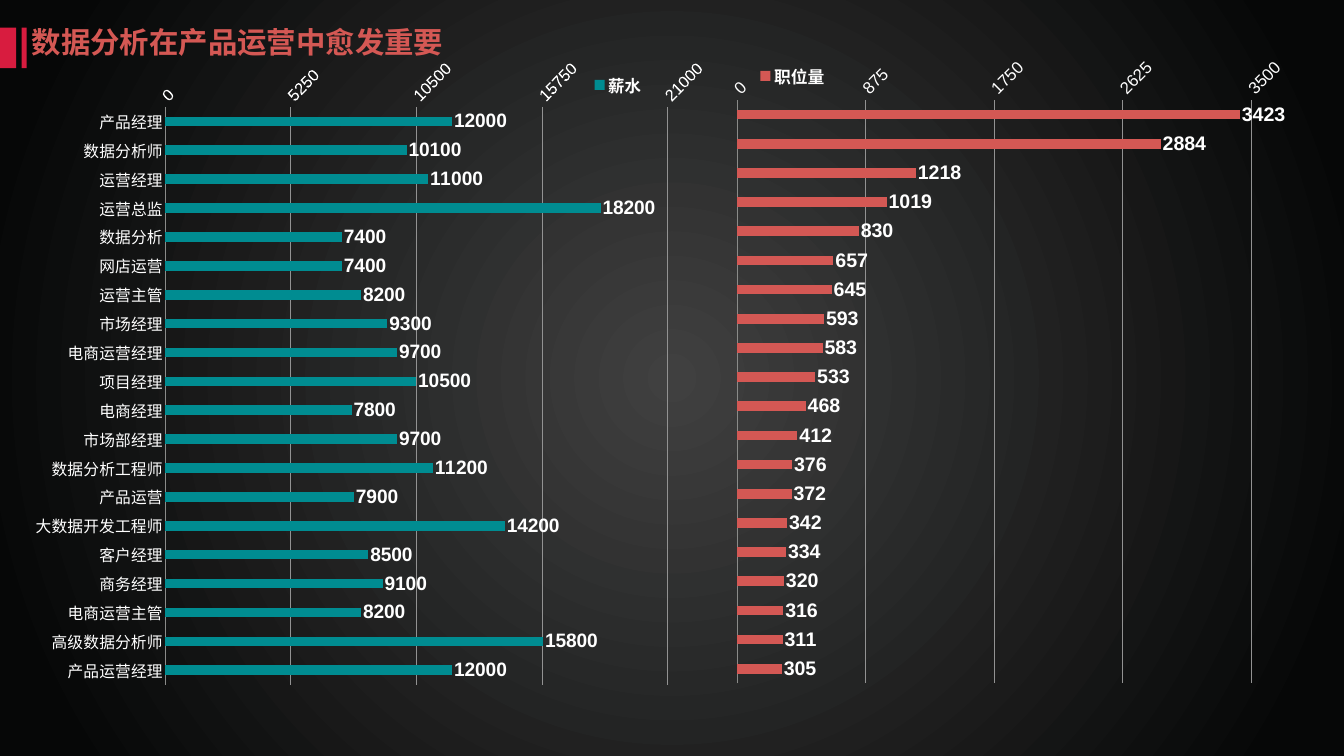
"""Build a dark slide comparing salary and number of openings by job title."""
from lxml import etree
from pptx import Presentation
from pptx.chart.data import CategoryChartData
from pptx.dml.color import RGBColor
from pptx.enum.chart import (XL_AXIS_CROSSES, XL_CHART_TYPE, XL_LABEL_POSITION,
                             XL_LEGEND_POSITION, XL_TICK_LABEL_POSITION, XL_TICK_MARK)
from pptx.enum.shapes import MSO_SHAPE
from pptx.oxml import parse_xml
from pptx.oxml.ns import nsdecls, qn
from pptx.util import Inches, Pt

BAR = XL_CHART_TYPE.BAR_CLUSTERED
CROSS_AT_MAXIMUM = XL_AXIS_CROSSES.MAXIMUM
LABEL_OUTSIDE = XL_LABEL_POSITION.OUTSIDE_END
LEGEND_TOP = XL_LEGEND_POSITION.TOP
NO_LABELS = XL_TICK_LABEL_POSITION.NONE
NO_TICKS = XL_TICK_MARK.NONE
RECTANGLE = MSO_SHAPE.RECTANGLE

CHART_FONT, TITLE_FONT = "Arial", "Noto Sans CJK SC"
WHITE, CRIMSON, CORAL, TEAL = "FFFFFF", "D81C3F", "D45854", "008C91"
AXIS_GREY, GRID_GREY = "8A8B89", "929292"
BACKGROUND_STOPS = [("404040", 0), ("060707", 0.92)]
TITLE = "数据分析在产品运营中愈发重要"
MARKERS = [(0, 0.32), (0.43, 0.1)]

JOBS = ["产品经理", "数据分析师", "运营经理", "运营总监", "数据分析", "网店运营", "运营主管",
        "市场经理", "电商运营经理", "项目经理", "电商经理", "市场部经理", "数据分析工程师",
        "产品运营", "大数据开发工程师", "客户经理", "商务经理", "电商运营主管",
        "高级数据分析师", "产品运营经理"]
CHARTS = [
    {"name": "薪水", "color": TEAL, "categories": JOBS, "show_categories": True,
     "values": [12000, 10100, 11000, 18200, 7400, 7400, 8200, 9300, 9700, 10500,
                7800, 9700, 11200, 7900, 14200, 8500, 9100, 8200, 15800, 12000],
     "maximum": 21000, "box": (0.53, 1.17, 13.49, 13.66),
     "plot": (0.208, 0.06, 0.757, 0.848), "legend": (0.84, 0.01, 0.1, 0.035)},
    {"name": "职位量", "color": CORAL, "show_categories": False,
     "categories": [str(number + 1) for number in range(len(JOBS))],
     "values": [3423, 2884, 1218, 1019, 830, 657, 645, 593, 583, 533,
                468, 412, 376, 372, 342, 334, 320, 316, 311, 305],
     "maximum": 3500, "box": (14.39, 1.13, 11.13, 13.57),
     "plot": (0.021, 0.063, 0.917, 0.853), "legend": (0.05, 0.01, 0.14, 0.035)},
]


def rgb(color):
    return RGBColor.from_string(color)


def style_font(font, size, color=WHITE, bold=False, name=CHART_FONT):
    font.size, font.bold, font.name = Pt(size), bold, name
    font.color.rgb = rgb(color)


def style_line(line, color):
    line.color.rgb = rgb(color)
    line.width = Pt(1)


def set_layout(element, index, fractions, inner=False):
    for old in element.findall(qn("c:layout")):
        element.remove(old)
    target = '<c:layoutTarget val="inner"/>' if inner else ""
    modes = '<c:xMode val="edge"/><c:yMode val="edge"/>'
    sizes = "".join(f'<c:{key} val="{value}"/>' for key, value in zip("xywh", fractions))
    element.insert(index, parse_xml(
        f'<c:layout {nsdecls("c")}><c:manualLayout>{target}{modes}{sizes}'
        '</c:manualLayout></c:layout>'))


def paint_background(slide):
    fill = slide.background.fill
    fill.gradient()
    for stop, (color, position) in zip(fill.gradient_stops, BACKGROUND_STOPS):
        stop.color.rgb = rgb(color)
        stop.position = position
    gradient = slide.element.find(".//" + qn("a:gradFill"))
    gradient.remove(gradient.find(qn("a:lin")))
    circle = etree.SubElement(gradient, qn("a:path"), path="circle")
    etree.SubElement(circle, qn("a:fillToRect"), dict.fromkeys("ltrb", "50000"))


def add_heading(slide):
    for left, width in MARKERS:
        marker = slide.shapes.add_shape(
            RECTANGLE, Inches(left), Inches(0.55), Inches(width), Inches(0.8))
        marker.shadow.inherit = False
        marker.fill.solid()
        marker.fill.fore_color.rgb = rgb(CRIMSON)
        marker.line.fill.background()
    box = slide.shapes.add_textbox(Inches(0.53), Inches(0.38), Inches(8.78), Inches(1.02))
    frame = box.text_frame
    frame.word_wrap = True
    frame.margin_left = frame.margin_right = Inches(0.1)
    frame.margin_top = frame.margin_bottom = Inches(0.1)
    frame.text = TITLE
    font = frame.paragraphs[0].runs[0].font
    style_font(font, 42, CORAL, True, TITLE_FONT)
    latin = box.element.find(".//" + qn("a:latin"))
    latin.addnext(parse_xml(f'<a:ea {nsdecls("a")} typeface="{TITLE_FONT}"/>'))


def style_axes(chart, item):
    category, value = chart.category_axis, chart.value_axis
    category.reverse_order = True
    category.crosses = CROSS_AT_MAXIMUM
    category.has_major_gridlines = False
    style_line(category.format.line, AXIS_GREY)
    style_font(category.tick_labels.font, 23)
    if not item["show_categories"]:
        category.tick_label_position = NO_LABELS

    value.minimum_scale, value.maximum_scale = 0, item["maximum"]
    value.major_unit = item["maximum"] / 4
    value.has_major_gridlines = True
    style_line(value.major_gridlines.format.line, GRID_GREY)
    value.format.line.fill.background()
    value.tick_labels.number_format = "0"
    value.tick_labels.number_format_is_linked = False
    style_font(value.tick_labels.font, 24)
    value._element.find(".//" + qn("a:bodyPr")).set("rot", "-2700000")
    for axis in (category, value):
        axis.major_tick_mark = axis.minor_tick_mark = NO_TICKS


def add_bar_chart(slide, item):
    data = CategoryChartData(number_format="0")
    data.categories = item["categories"]
    data.add_series(item["name"], item["values"])
    chart = slide.shapes.add_chart(BAR, *map(Inches, item["box"]), data).chart
    chart.has_title = False
    style_font(chart.font, 10)
    style_axes(chart, item)

    plot = chart.plots[0]
    plot.gap_width, plot.overlap, plot.vary_by_categories = 200, -10, False
    series = plot.series[0]
    series.format.fill.solid()
    series.format.fill.fore_color.rgb = rgb(item["color"])
    labels = series.data_labels
    labels.show_value, labels.position = True, LABEL_OUTSIDE
    labels.number_format, labels.number_format_is_linked = "0", False
    style_font(labels.font, 28, bold=True)

    chart.has_legend = True
    legend = chart.legend
    legend.position, legend.include_in_layout = LEGEND_TOP, True
    style_font(legend.font, 24, bold=True)
    set_layout(legend._element, 1, item["legend"])
    set_layout(chart._chartSpace.chart.plotArea, 0, item["plot"], inner=True)


def main():
    presentation = Presentation()
    presentation.slide_width, presentation.slide_height = Inches(26.67), Inches(15)
    slide = presentation.slides.add_slide(presentation.slide_layouts[6])
    paint_background(slide)
    add_heading(slide)
    for item in CHARTS:
        add_bar_chart(slide, item)
    presentation.save("out.pptx")


if __name__ == "__main__":
    main()
